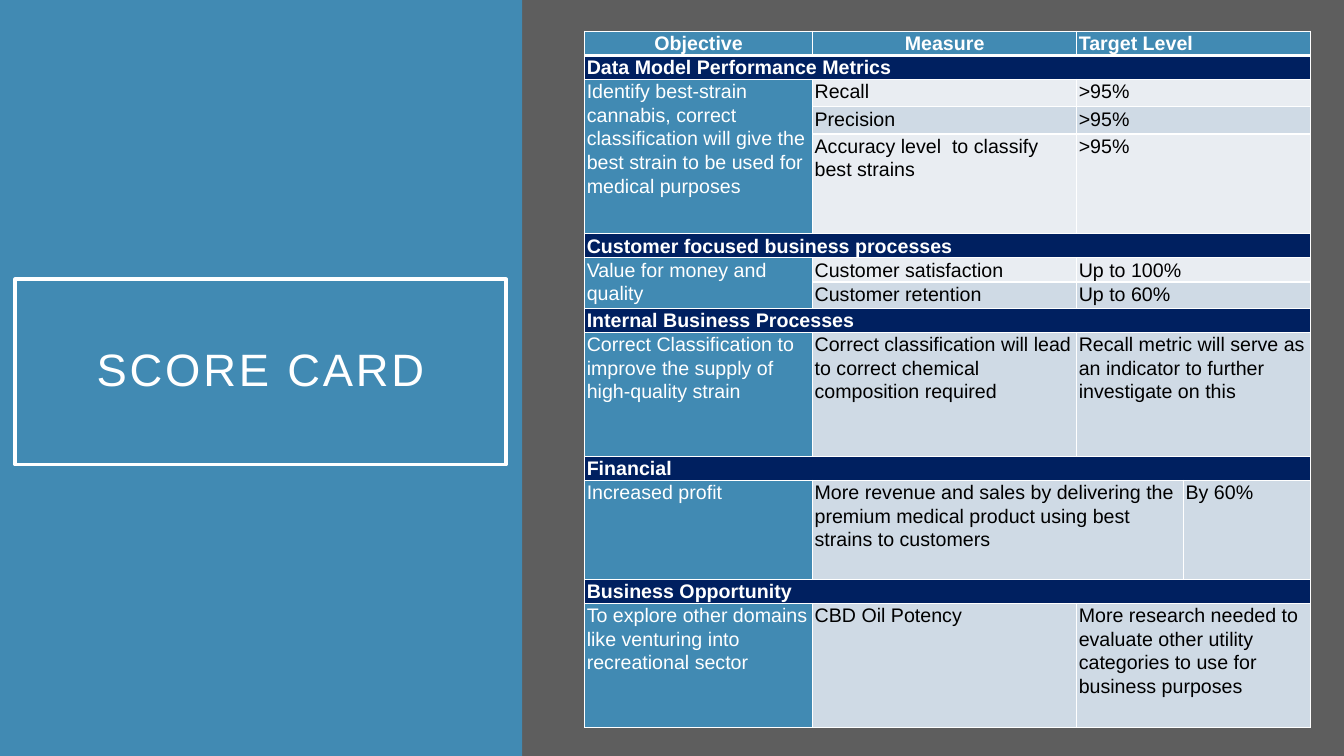
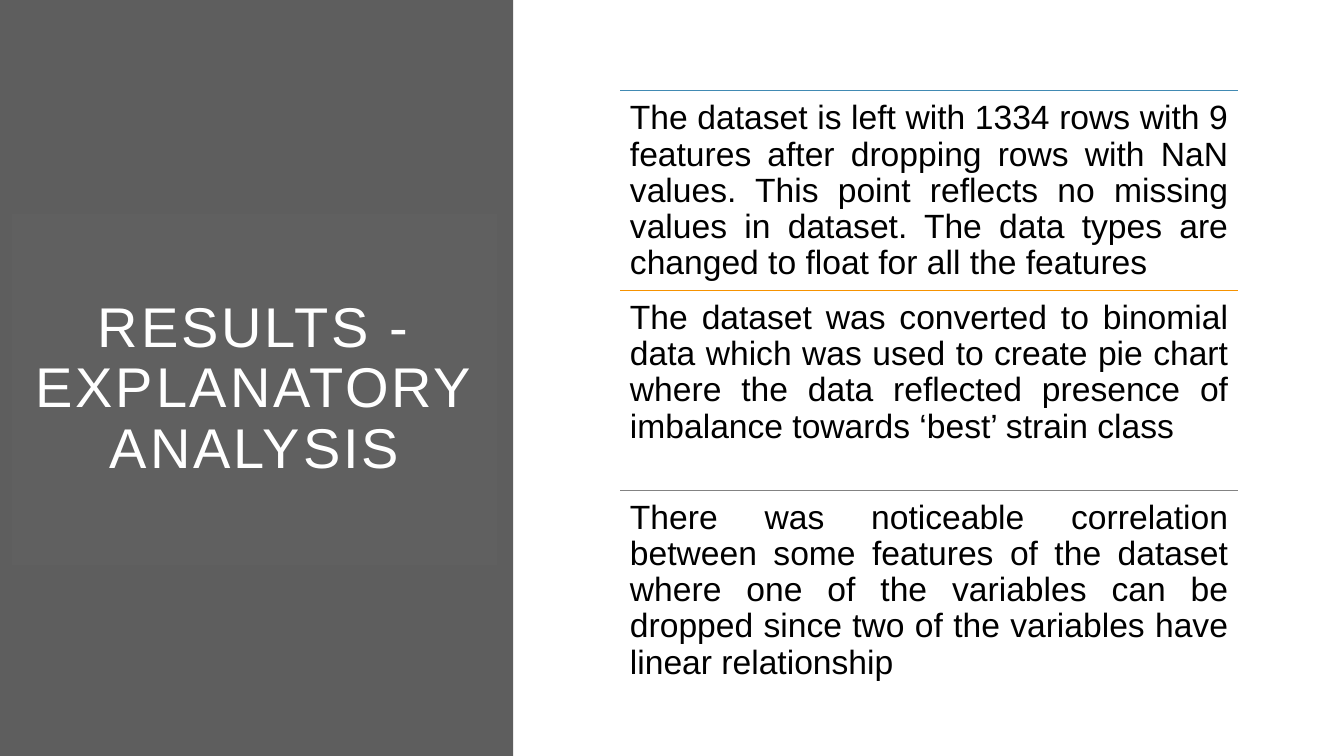
from dataclasses import dataclass

from lxml import etree
from pptx import Presentation
from pptx.dml.color import RGBColor
from pptx.enum.shapes import MSO_CONNECTOR, MSO_SHAPE
from pptx.enum.text import MSO_ANCHOR, PP_ALIGN
from pptx.oxml.ns import qn
from pptx.util import Inches, Pt

RECTANGLE = MSO_SHAPE.RECTANGLE
STRAIGHT = MSO_CONNECTOR.STRAIGHT
LEFT, CENTER, JUSTIFY = PP_ALIGN.LEFT, PP_ALIGN.CENTER, PP_ALIGN.JUSTIFY
TOP, MIDDLE = MSO_ANCHOR.TOP, MSO_ANCHOR.MIDDLE


@dataclass(frozen=True)
class Theme:
    font: str = "Arial"
    white: str = "FFFFFF"
    black: str = "000000"
    gray: str = "5E5E5E"
    blue: str = "418AB3"
    navy: str = "002060"
    orange: str = "F69200"
    rule_gray: str = "838383"
    title_tint: str = "6E6E6E"
    light_band: str = "E9EDF2"
    dark_band: str = "CFDAE5"
    table_size: float = 14
    body_size: float = 24
    small_title_size: float = 32.4
    title_size: float = 40
    title_tracking: float = 2


THEME = Theme()

COLUMN_WIDTHS = [2.26, 2.62, 1.06, 1.26]
HEADINGS = [("Objective", CENTER), ("Measure", CENTER), ("Target Level", LEFT)]
HEADING_HEIGHT = 0.24
# Each section: heading, objective, column where the target starts,
# then its rows as (height, fill, measure, target).
SECTIONS = [
    ("Data Model Performance Metrics",
     "Identify best-strain cannabis, correct classification will give the "
     "best strain to be used for medical purposes", 2,
     [(0.27, THEME.light_band, "Recall", ">95%"),
      (0.27, THEME.dark_band, "Precision", ">95%"),
      (0.99, THEME.light_band, "Accuracy level  to classify best strains", ">95%")]),
    ("Customer focused business processes", "Value for money and quality", 2,
     [(0.24, THEME.light_band, "Customer satisfaction", "Up to 100%"),
      (0.26, THEME.dark_band, "Customer retention", "Up to 60%")]),
    ("Internal Business Processes",
     "Correct Classification to improve the supply of high-quality strain", 2,
     [(1.23, THEME.dark_band,
       "Correct classification will lead to correct chemical composition required",
       "Recall metric will serve as an indicator to further investigate on this")]),
    ("Financial", "Increased profit", 3,
     [(0.98, THEME.dark_band,
       "More revenue and sales by delivering the premium medical product "
       "using best strains to customers", "By 60%")]),
    ("Business Opportunity",
     "To explore other domains like venturing into recreational sector", 2,
     [(1.23, THEME.dark_band, "CBD Oil Potency",
       "More research needed to evaluate other utility categories to use "
       "for business purposes")]),
]

FINDINGS = [
    (THEME.blue,
     "The dataset is left with 1334 rows with 9 features after dropping rows "
     "with NaN values. This point reflects no missing values in dataset. The "
     "data types are changed to float for all the features"),
    (THEME.orange,
     "The dataset was converted to binomial data which was used to create pie "
     "chart where the data reflected presence of imbalance towards ‘best’ "
     "strain class"),
    (THEME.rule_gray,
     "There was noticeable correlation between some features of the dataset "
     "where one of the variables can be dropped since two of the variables "
     "have linear relationship"),
]


def paint(fill, color):
    fill.solid()
    fill.fore_color.rgb = RGBColor.from_string(color)


def write_text(frame, text, *, size, color=THEME.black, bold=False,
               align=LEFT, line_spacing=0.9, tracking=0):
    para = frame.paragraphs[0]
    para.alignment = align
    para.line_spacing = line_spacing
    span = para.add_run()
    span.text = text
    span.font.name = THEME.font
    span.font.size = Pt(size)
    span.font.bold = bold
    span.font.color.rgb = RGBColor.from_string(color)
    if tracking:
        span.font._element.set("spc", str(round(tracking * 100)))


def set_frame(frame, anchor, inset):
    frame.word_wrap = True
    frame.vertical_anchor = anchor
    frame.margin_left = frame.margin_right = Inches(inset)
    frame.margin_top = frame.margin_bottom = Inches(inset)


def add_box(page, box, *, fill=None, opacity=None, outline=None):
    shape = page.shapes.add_shape(RECTANGLE, *map(Inches, box))
    shape.shadow.inherit = False
    if fill:
        paint(shape.fill, fill)
    else:
        shape.fill.background()
    if opacity is not None:
        color = shape.fill._xPr.find(f"{qn('a:solidFill')}/{qn('a:srgbClr')}")
        etree.SubElement(color, qn("a:alpha"), val=str(opacity * 1000))
    if outline:
        paint(shape.line.fill, outline)
        shape.line.width = Pt(2.5)
    else:
        shape.line.fill.background()
    return shape


def add_title_panel(page, width, color, title, title_box, size, **frame_style):
    """Full-height side band with a centred title frame on it."""
    add_box(page, (0, 0, width, 7.5), fill=color)
    shape = add_box(page, title_box, **frame_style)
    set_frame(shape.text_frame, MIDDLE, 0.2)
    write_text(shape.text_frame, title, size=size, color=THEME.white,
               align=CENTER, tracking=THEME.title_tracking)


def set_borders(cell, top=1, bottom=1):
    properties = cell._tc.get_or_add_tcPr()
    for side, width in (("L", 1), ("R", 1), ("T", top), ("B", bottom)):
        line = etree.SubElement(properties, qn(f"a:ln{side}"), w=str(Pt(width)))
        solid = etree.SubElement(line, qn("a:solidFill"))
        etree.SubElement(solid, qn("a:srgbClr"), val=THEME.white)


def fill_cell(table, row, column, text, fill, *, last_row=None, last_column=None,
              anchor=TOP, **text_style):
    """Merge up to the last row and column, then paint and write the cell."""
    cell = table.cell(row, column)
    corner = table.cell(last_row or row, last_column or column)
    if corner._tc is not cell._tc:
        cell.merge(corner)
    paint(cell.fill, fill)
    cell.vertical_anchor = anchor
    cell.margin_left = cell.margin_right = Inches(0.02)
    cell.margin_top = cell.margin_bottom = 0
    write_text(cell.text_frame, text, size=THEME.table_size,
               line_spacing=1.07, **text_style)


def add_score_table(page, left, top):
    heights = [HEADING_HEIGHT]
    for *_, rows in SECTIONS:
        heights += [HEADING_HEIGHT] + [row[0] for row in rows]
    last = len(COLUMN_WIDTHS) - 1
    table = page.shapes.add_table(
        len(heights), len(COLUMN_WIDTHS), Inches(left), Inches(top),
        Inches(sum(COLUMN_WIDTHS)), Inches(sum(heights))).table
    table.first_row = table.horz_banding = False
    for column, width in zip(table.columns, COLUMN_WIDTHS):
        column.width = Inches(width)
    for index, height in enumerate(heights):
        table.rows[index].height = Inches(height)
        for column in range(len(COLUMN_WIDTHS)):
            set_borders(table.cell(index, column), top=3 if index == 1 else 1,
                        bottom=3 if index == 0 else 1)

    for column, (heading, align) in enumerate(HEADINGS):
        fill_cell(table, 0, column, heading, THEME.blue, anchor=MIDDLE,
                  last_column=last if column == 2 else column,
                  color=THEME.white, bold=True, align=align)
    index = 1
    for heading, objective, target_column, rows in SECTIONS:
        fill_cell(table, index, 0, heading, THEME.navy, last_column=last,
                  color=THEME.white, bold=True)
        fill_cell(table, index + 1, 0, objective, THEME.blue,
                  last_row=index + len(rows), color=THEME.white)
        for row, (_, fill, measure, target) in enumerate(rows, index + 1):
            fill_cell(table, row, 1, measure, fill, last_column=target_column - 1)
            fill_cell(table, row, target_column, target, fill, last_column=last)
        index += len(rows) + 1


def add_rule(page, left, top, width, color):
    rule = page.shapes.add_connector(STRAIGHT, Inches(left), Inches(top),
                                     Inches(left + width), Inches(top))
    paint(rule.line.fill, color)
    rule.line.width = Pt(0.5)
    etree.SubElement(rule._element.spPr, qn("a:effectLst"))


def add_findings(page, left, top, width, height):
    """Stack the findings in equal rows, each under a coloured rule."""
    step = height / len(FINDINGS)
    for index, (color, text) in enumerate(FINDINGS):
        row_top = top + index * step
        add_rule(page, left, row_top, width, color)
        box = page.shapes.add_textbox(*map(Inches, (left, row_top, width, step)))
        set_frame(box.text_frame, TOP, 0.1)
        write_text(box.text_frame, text, size=THEME.body_size, align=JUSTIFY)


def add_page(deck, background):
    page = deck.slides.add_slide(deck.slide_layouts[6])
    paint(page.background.fill, background)
    return page


def build_score_card(deck):
    page = add_page(deck, THEME.gray)
    add_title_panel(page, 5.18, THEME.blue, "SCORE CARD", (0.15, 2.77, 4.87, 1.84),
                    THEME.small_title_size, outline=THEME.white)
    add_score_table(page, 5.8, 0.31)


def build_results(deck):
    page = add_page(deck, THEME.white)
    add_title_panel(page, 5.09, THEME.gray, "RESULTS - EXPLANATORY ANALYSIS",
                    (0.12, 2.12, 4.81, 3.49), THEME.title_size,
                    fill=THEME.title_tint, opacity=15)
    add_findings(page, 6.15, 0.9, 6.13, 5.94)


def main():
    deck = Presentation()
    deck.slide_width, deck.slide_height = Inches(13.33), Inches(7.5)
    build_score_card(deck)
    build_results(deck)
    deck.save("out.pptx")


if __name__ == "__main__":
    main()
